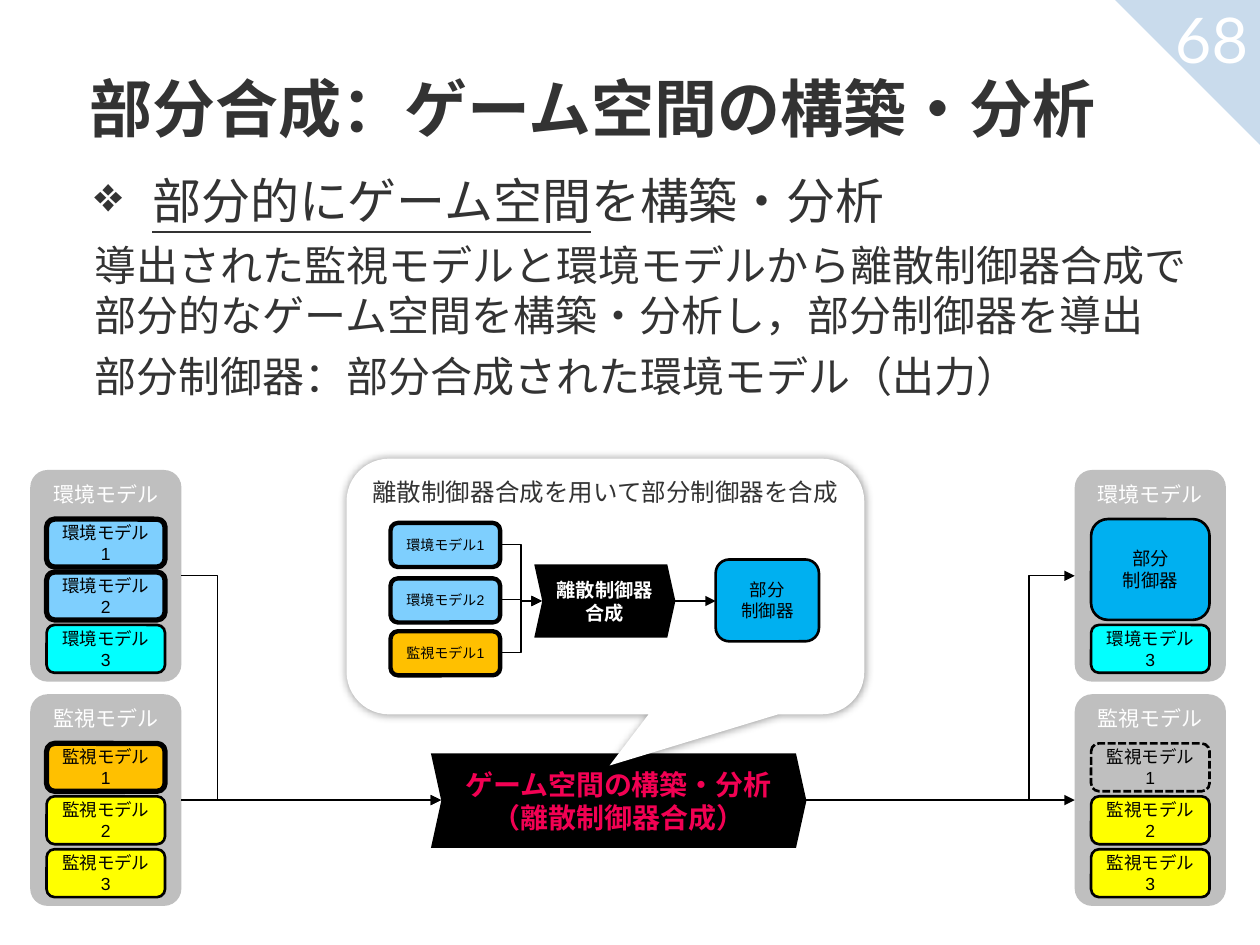
from dataclasses import dataclass

from lxml import etree
from pptx import Presentation, util as u
from pptx.dml.color import RGBColor
from pptx.enum import dml, shapes, text
from pptx.oxml import ns

In = u.Inches
MSO = shapes.MSO_SHAPE
MID, TOP = text.MSO_ANCHOR.MIDDLE, text.MSO_ANCHOR.TOP
LEFT, MID_X = text.PP_ALIGN.LEFT, text.PP_ALIGN.CENTER


@dataclass(frozen=True)
class Theme:
    ink: str = "333333"
    black: str = "000000"
    white: str = "FFFFFF"
    corner: str = "C9DBEC"
    panel: str = "BFBFBF"
    sky: str = "7ECFFE"
    cyan: str = "02FFFF"
    amber: str = "FFC000"
    yellow: str = "FFFF00"
    blue: str = "00B0F0"
    pink: str = "F20153"
    head: float = 36
    lead: float = 28
    body: float = 24
    step: float = 16
    note: float = 14
    label: float = 12
    tool: float = 11
    result: float = 10.5
    box: float = 10
    mini: float = 8


T = Theme()


def put(obj, vals):
    for key, val in vals.items():
        setattr(obj, key, val)


def add(parent, tag, **attrs):
    return etree.SubElement(parent, ns.qn(tag), attrs)


def style(run, size, color, face="Arial", **more):
    put(run.font, {"size": u.Pt(size), "name": face, **more})
    run.font.color.rgb = RGBColor.from_string(color)
    add(run._r.get_or_add_rPr(), "a:ea", typeface=face)


def write(shape, words, size, color, face="Arial", anchor=MID,
          align=MID_X, wrap=True, **more):
    """Fill a shape with one paragraph for each item of words."""
    frame = shape.text_frame
    put(frame, {"word_wrap": wrap, "vertical_anchor": anchor})
    for i, line in enumerate(words):
        para = frame.paragraphs[0] if i == 0 else frame.add_paragraph()
        para.text = line
        para.alignment = align
        for run in para.runs:
            style(run, size, color, face, **more)


def pad(frame):
    sides = ("left", "right", "top", "bottom")
    put(frame, {f"margin_{side}": In(0.1) for side in sides})


def draw(slide, kind, at, fill=None, line=0, adj=()):
    shape = slide.shapes.add_shape(kind, *map(In, at))
    shape.shadow.inherit = False
    if fill:
        shape.fill.solid()
        shape.fill.fore_color.rgb = RGBColor.from_string(fill)
    else:
        shape.fill.background()
    if line:
        shape.line.width = u.Pt(line)
        shape.line.color.rgb = RGBColor.from_string(T.black)
    else:
        shape.line.fill.background()
    for i, val in enumerate(adj):
        shape.adjustments[i] = val
    return shape


def box(slide, at, words, fill, line=1.5, size=T.box):
    shape = draw(slide, MSO.ROUNDED_RECTANGLE, at, fill, line)
    write(shape, words, size, T.black)
    return shape


def panel(slide, x, y, name, items):
    """Grey panel; each item is row, row span, words, fill, line, size."""
    back = draw(slide, MSO.ROUNDED_RECTANGLE, (x, y, 1.2, 1.68), T.panel,
                adj=[0.115])
    write(back, [name], T.label, T.white, anchor=TOP)
    for row, span, words, fill, line, size in items:
        at = (x + 0.13, y + 0.39 + 0.42 * row, 0.94, 0.42 * span - 0.04)
        shape = box(slide, at, words, fill, line, size)
        if not fill:
            shape.line.dash_style = dml.MSO_LINE.SQUARE_DOT


def step(slide, at, words, size, color, **more):
    shape = draw(slide, MSO.CHEVRON, at, T.black, adj=[0.11])
    write(shape, words, size, color, bold=True, **more)


def arrow(slide, start, end, bend=None):
    kind = shapes.MSO_CONNECTOR
    kind = kind.STRAIGHT if bend is None else kind.ELBOW
    link = slide.shapes.add_connector(kind, *map(In, start + end))
    link.line.width = u.Pt(0.75)
    link.line.color.rgb = RGBColor.from_string(T.black)
    add(link.line._get_or_add_ln(), "a:tailEnd", type="triangle")
    props = link._element.spPr
    add(props, "a:effectLst")
    if bend is not None:
        guides = props.find(ns.qn("a:prstGeom")).get_or_add_avLst()
        add(guides, "a:gd", name="adj1", fmla=f"val {round(bend * 100000)}")


def corner(slide):
    tri = draw(slide, MSO.RIGHT_TRIANGLE, (8.83, -0.02, 1.18, 1.18), T.corner)
    tri.rotation = 180
    num = slide.shapes.add_textbox(*map(In, (9.19, -0.1, 0.85, 0.75)))
    pad(num.text_frame)
    write(num, ["68"], T.head, T.white, "Lato", TOP)


def heading(slide):
    title = slide.shapes.title
    put(title, {"left": In(0.61), "top": In(0),
                "width": In(9.39), "height": In(1.25)})
    pad(title.text_frame)
    title.text_frame.auto_size = text.MSO_AUTO_SIZE.NONE
    write(title, ["部分合成：ゲーム空間の構築・分析"], T.head, T.ink, "Roboto",
          text.MSO_ANCHOR.BOTTOM, LEFT, bold=True)


def body(slide):
    area = slide.shapes.add_textbox(*map(In, (0.61, 1.25, 9.39, 2.23)))
    frame = area.text_frame
    pad(frame)
    write(area, [
        "部分的にゲーム空間",
        "導出された監視モデルと環境モデルから離散制御器合成で\n"
        "部分的なゲーム空間を構築・分析し，部分制御器を導出",
        "部分制御器：部分合成された環境モデル（出力）",
    ], T.body, T.ink, "Lato", TOP, LEFT)
    lead, *rest = frame.paragraphs
    # Bulleted lead line, partly underlined
    put(lead.runs[0].font, {"size": u.Pt(T.lead), "underline": True})
    tail = lead.add_run()
    tail.text = "を構築・分析"
    style(tail, T.lead, T.ink, "Lato")
    props = lead._p.get_or_add_pPr()
    for key, val in {"marL": In(0.5), "indent": In(-0.46)}.items():
        props.set(key, str(int(val)))
    add(add(props, "a:buClr"), "a:srgbClr", val=T.ink)
    add(props, "a:buChar", char="❖")
    for para in rest:
        para.space_before = u.Pt(6)
        para._p.get_or_add_pPr().set("marL", str(int(In(0.04))))


def callout(slide):
    bubble = draw(slide, MSO.ROUNDED_RECTANGULAR_CALLOUT,
                  (2.75, 3.64, 4.11, 2.03), T.white, adj=[0.008, 0.7, 0.167])
    write(bubble, ["離散制御器合成を用いて部分制御器を合成"], T.note, T.ink,
          anchor=TOP)
    glow = add(bubble._element.spPr.find(ns.qn("a:effectLst")),
               "a:outerShdw", blurRad=str(int(u.Pt(5))), dist="0",
               algn="ctr", rotWithShape="0")
    add(add(glow, "a:srgbClr", val=T.black), "a:alpha", val="40000")
    # Inputs, synthesis and result
    step(slide, (4.24, 4.48, 1.12, 0.58), ["離散制御器\n合成"], T.tool,
         T.white, wrap=False)
    for y, name, fill in ((4.15, "環境モデル1", T.sky),
                          (4.59, "環境モデル2", T.sky),
                          (5.01, "監視モデル1", T.amber)):
        box(slide, (3.1, y, 0.87, 0.35), [name], fill, 2.5, T.mini)
        arrow(slide, (3.97, y + 0.17), (4.3, 4.77), 0.5)
    box(slide, (5.68, 4.44, 0.82, 0.65), ["部分\n制御器"], T.blue)
    arrow(slide, (5.36, 4.77), (5.68, 4.77))


def main():
    deck = Presentation()
    put(deck, {"slide_width": In(10), "slide_height": In(7.5)})
    slide = deck.slides.add_slide(deck.slide_layouts[5])
    corner(slide)
    heading(slide)
    body(slide)

    # Models before and after the step
    left, right, upper, lower = 0.24, 8.53, 3.73, 5.51
    env, mon = "環境モデル", "監視モデル"
    panel(slide, left, upper, env, [
        (0, 1, [env + "1"], T.sky, 3, T.box),
        (1, 1, [env + "2"], T.sky, 3, T.box),
        (2, 1, [env + "3"], T.cyan, 1.5, T.box)])
    panel(slide, left, lower, mon, [
        (0, 1, [mon + "1"], T.amber, 3, T.box),
        (1, 1, [mon + "2"], T.yellow, 1.5, T.box),
        (2, 1, [mon + "3"], T.yellow, 1.5, T.box)])
    panel(slide, right, upper, env, [
        (0, 2, ["部分", "制御器"], T.blue, 1.5, T.result),
        (2, 1, [env, "3"], T.cyan, 1.5, T.box)])
    panel(slide, right, lower, mon, [
        (0, 1, [mon + "\n1"], None, 1.5, T.box),
        (1, 1, [mon + "\n2"], T.yellow, 1.5, T.box),
        (2, 1, [mon + "3"], T.yellow, 1.5, T.box)])

    # Main step and its flow
    step(slide, (3.42, 5.98, 2.98, 0.75),
         ["ゲーム空間の構築・分析", "（離散制御器合成）"], T.step, T.pink)
    for y, enter, leave in ((4.57, 0.14, 0.83), (6.35, 0.5, 0.5)):
        arrow(slide, (1.44, y), (3.5, 6.35), enter)
        arrow(slide, (6.4, 6.35), (right, y), leave)
    callout(slide)
    deck.save("out.pptx")


if __name__ == "__main__":
    main()
